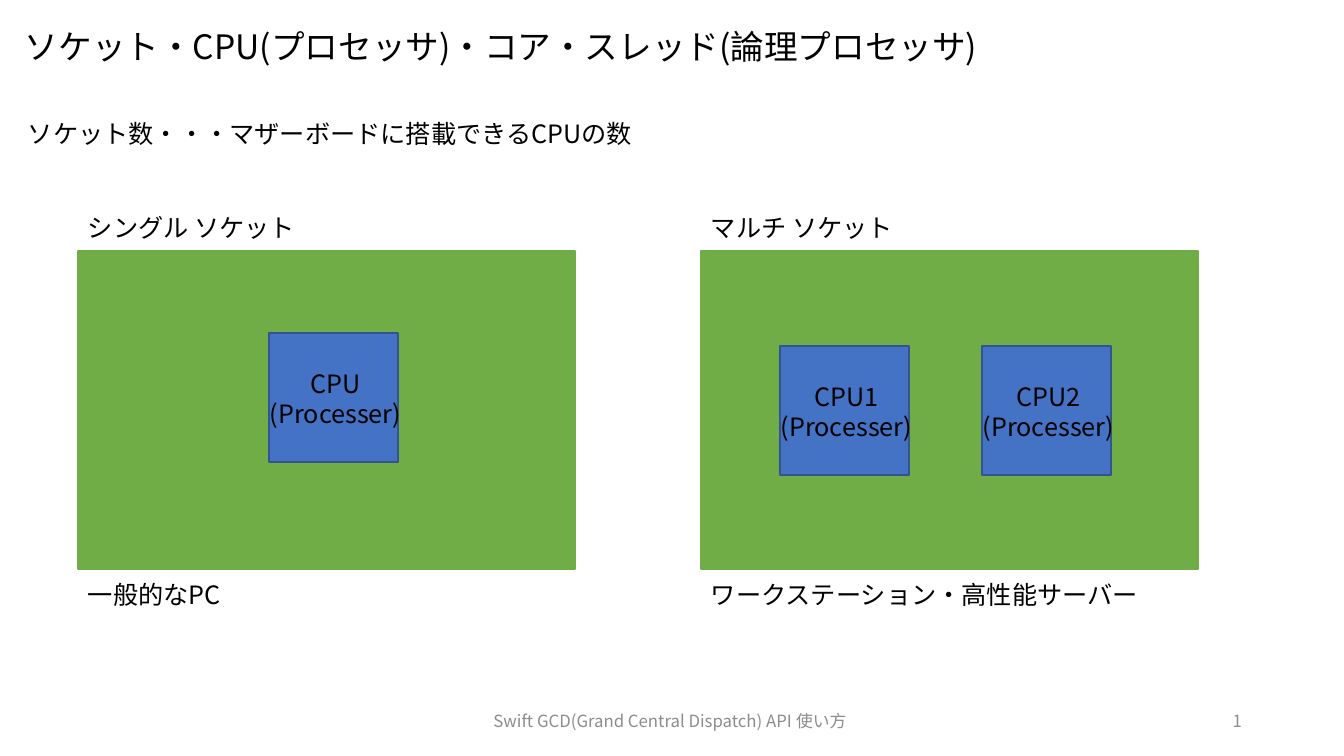
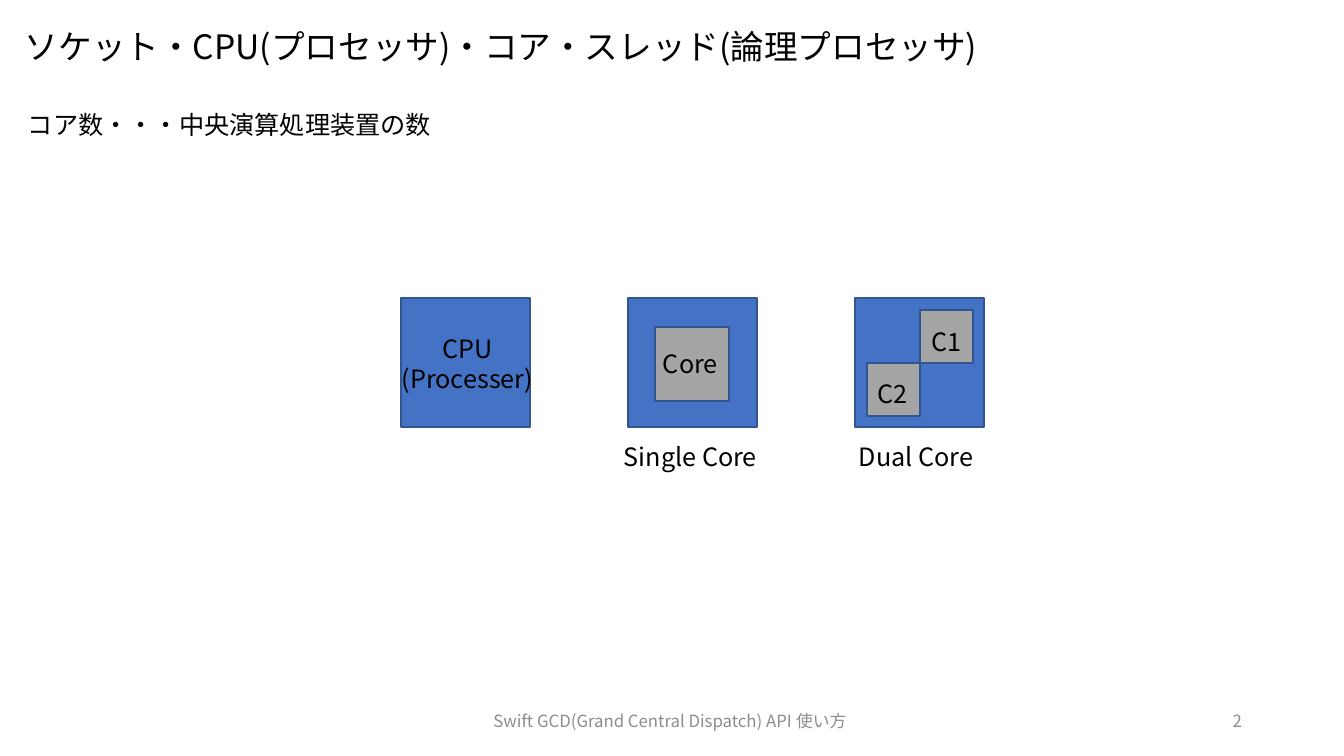
"""Build two slides that explain CPU sockets and cores."""
from lxml import etree
from pptx import Presentation
from pptx.dml.color import RGBColor
from pptx.enum.shapes import MSO_SHAPE
from pptx.enum.text import MSO_ANCHOR, PP_ALIGN
from pptx.oxml.ns import qn
from pptx.util import Emu, Pt

RECTANGLE = MSO_SHAPE.RECTANGLE
TOP, MIDDLE = MSO_ANCHOR.TOP, MSO_ANCHOR.MIDDLE
LEFT, CENTER, RIGHT = PP_ALIGN.LEFT, PP_ALIGN.CENTER, PP_ALIGN.RIGHT
SCALE = 914400 / 100.8
FONT = "Noto Sans CJK JP"
BLACK, GRAY = "000000", "8C8C8C"
BOARD = {"fill": "70AD47", "line": "70AD47"}
CHIP = {"fill": "4472C4", "line": "325491"}
CORE = {"fill": "A5A5A5", "line": "325491"}
TITLE = "ソケット・CPU(プロセッサ)・コア・スレッド(論理プロセッサ)"
FOOTER = "Swift GCD(Grand Central Dispatch) API 使い方"
CHIP_SIZE = 129
LINE_HEIGHT = 40


def add_block(page, x, y, width, height, colors):
    place = [Emu(round(value * SCALE)) for value in (x, y, width, height)]
    block = page.shapes.add_shape(RECTANGLE, *place)
    block.shadow.inherit = False
    block.fill.solid()
    block.fill.fore_color.rgb = RGBColor.from_string(colors["fill"])
    block.line.color.rgb = RGBColor.from_string(colors["line"])
    block.line.width = Pt(1)


def add_text(page, text, x, y, width, height=LINE_HEIGHT, size=18, color=BLACK, align=LEFT, anchor=TOP):
    place = [Emu(round(value * SCALE)) for value in (x, y, width, height)]
    frame = page.shapes.add_textbox(*place).text_frame
    for name, value in {"word_wrap": True, "vertical_anchor": anchor, "text": text}.items():
        setattr(frame, name, value)
    for para in frame.paragraphs:
        para.alignment = align
        for span in para.runs:
            for name, value in {"size": Pt(size), "name": FONT}.items():
                setattr(span.font, name, value)
            span.font.color.rgb = RGBColor.from_string(color)
            etree.SubElement(span._r.get_or_add_rPr(), qn("a:ea"), typeface=FONT)


deck = Presentation()
deck.slide_width = Emu(round(1344 * SCALE))
deck.slide_height = Emu(round(756 * SCALE))
blank = deck.slide_layouts[6]
pages = [deck.slides.add_slide(blank) for _ in range(2)]
socket_page, core_page = pages

for number, page in enumerate(pages, 1):
    add_text(page, TITLE, 15, 21, 1032, 50, size=24)
    add_text(page, FOOTER, 443, 701, 454, size=12, color=GRAY, align=CENTER, anchor=MIDDLE)
    add_text(page, str(number), 950, 701, 302, size=12, color=GRAY, align=RIGHT, anchor=MIDDLE)

add_text(socket_page, "ソケット数・・・マザーボードに搭載できるCPUの数", 18, 113, 633)
boards = [
    (78, "シングル ソケット", 231, "一般的なPC", 156),
    (701, "マルチ ソケット", 206, "ワークステーション・高性能サーバー", 453),
]
for x, heading, heading_width, usage, usage_width in boards:
    add_block(socket_page, x, 251, 497, 318, BOARD)
    add_text(socket_page, heading, x, 207, heading_width)
    add_text(socket_page, usage, x, 574, usage_width)

add_text(core_page, "コア数・・・中央演算処理装置の数", 18, 104, 428)
chip_row = [401 + 227 * column for column in range(3)]
chip_top = 298
for x in chip_row[1:]:
    add_block(core_page, x, chip_top, CHIP_SIZE, CHIP_SIZE, CHIP)

labelled_chips = [
    (socket_page, "CPU", 269, 333),
    (socket_page, "CPU1", 780, 346),
    (socket_page, "CPU2", 982, 346),
    (core_page, "CPU", chip_row[0], chip_top),
]
for page, name, x, y in labelled_chips:
    add_block(page, x, y, CHIP_SIZE, CHIP_SIZE, CHIP)
    add_text(page, f"{name}\n(Processer)", x - 12, y + 30, 157, 72, align=CENTER)

cores = [
    ("Core", 655, 327, 74, 653, 343, 78),
    ("C1", 920, 310, 53, 922, 321, 52),
    ("C2", 867, 363, 53, 868, 373, 52),
]
for name, x, y, side, text_x, text_y, text_width in cores:
    add_block(core_page, x, y, side, side, CORE)
    add_text(core_page, name, text_x, text_y, text_width)

for caption, x, width in [("Single Core", 614, 156), ("Dual Core", 849, 138)]:
    add_text(core_page, caption, x, 436, width)

deck.save("out.pptx")
